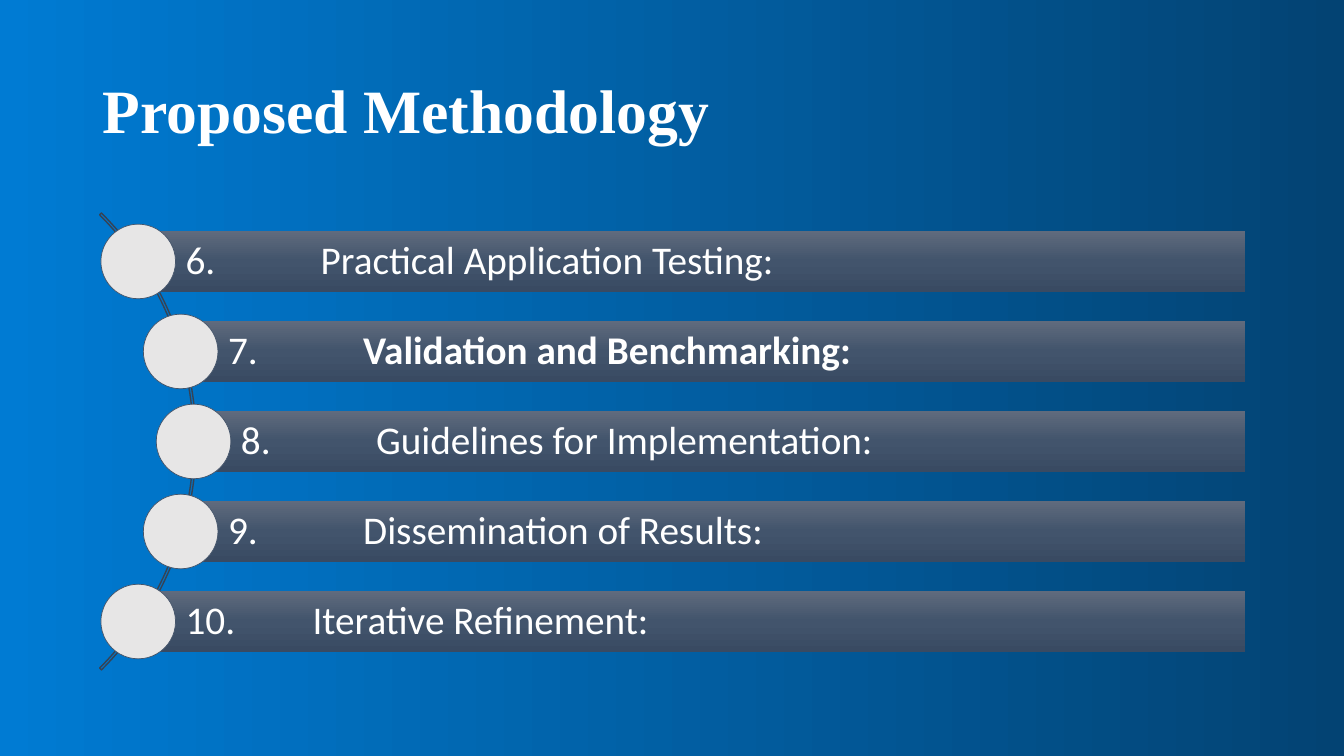
from dataclasses import dataclass
from math import sqrt

from lxml.etree import SubElement
from pptx import Presentation
from pptx.dml.color import RGBColor
from pptx.dml.fill import FillFormat
from pptx.enum.shapes import MSO_SHAPE
from pptx.enum.text import MSO_ANCHOR, MSO_AUTO_SIZE, PP_ALIGN
from pptx.oxml.ns import qn
from pptx.slide import Slide
from pptx.text.text import TextFrame
from pptx.util import Inches, Pt


@dataclass(frozen=True)
class Theme:
    background: tuple[str, ...] = ("007BD3", "034373")
    bar: tuple[str, ...] = ("606B7D", "42546C", "394A62")
    text: str = "FFFFFF"
    circle: str = "E7E6E6"
    circle_line: str = "44546A"
    arc_line: str = "364355"
    title_font: str = "Times New Roman"
    body_font: str = "Calibri"
    title_size: int = 44
    body_size: int = 28


@dataclass(frozen=True)
class Step:
    number: str
    label: str
    bold: bool = False
    tab: float = 1.34


THEME = Theme()
STEPS = [
    Step("6.", "Practical Application Testing:"),
    Step("7.", "Validation and Benchmarking:", bold=True),
    Step("8.", "Guidelines for Implementation:"),
    Step("9.", "Dissemination of Results:"),
    Step("10.", "Iterative Refinement:", tab=1.26),
]
ARC_X, ARC_Y, ARC_RADIUS = -1.26, 4.38, 3.18
ARC_SIZE = 6.41
ROW_PITCH = 0.893
BAR_RIGHT, BAR_HEIGHT = 12.35, 0.6
CIRCLE_SIZE = 0.74


def paint_gradient(fill: FillFormat, element, colors: tuple[str, ...], angle: float) -> None:
    fill.gradient()
    fill.gradient_angle = angle
    stops = next(element.iter(qn("a:gsLst")))
    stops.clear()
    for index, color in enumerate(colors):
        position = round(100000 * index / (len(colors) - 1))
        stop = SubElement(stops, qn("a:gs"), pos=str(position))
        SubElement(stop, qn("a:srgbClr"), val=color)


def add_text(frame: TextFrame, text: str, font: str, size: int, bold: bool) -> None:
    run = frame.paragraphs[0].add_run()
    run.text = text
    run.font.name = font
    run.font.size = Pt(size)
    run.font.bold = bold
    run.font.color.rgb = RGBColor.from_string(THEME.text)


def add_title(slide: Slide, text: str) -> None:
    title = slide.shapes.title
    title.left, title.top = Inches(0.92), Inches(0.4)
    title.width, title.height = Inches(11.5), Inches(1.45)
    frame = title.text_frame
    frame.auto_size = MSO_AUTO_SIZE.NONE
    frame.vertical_anchor = MSO_ANCHOR.MIDDLE
    frame.paragraphs[0].alignment = PP_ALIGN.LEFT
    frame.paragraphs[0].line_spacing = 0.9
    add_text(frame, text, THEME.title_font, THEME.title_size, True)


def add_shape(slide: Slide, kind: MSO_SHAPE, left: float, top: float, width: float, height: float):
    shape = slide.shapes.add_shape(kind, Inches(left), Inches(top), Inches(width), Inches(height))
    shape.shadow.inherit = False
    return shape


def add_arc(slide: Slide) -> None:
    arc = add_shape(slide, MSO_SHAPE.BLOCK_ARC, ARC_X - ARC_SIZE / 2, ARC_Y - ARC_SIZE / 2,
                    ARC_SIZE, ARC_SIZE)
    for index, value in enumerate((189, 27, 0.004)):
        arc.adjustments[index] = value
    arc.fill.background()
    arc.line.color.rgb = RGBColor.from_string(THEME.arc_line)
    arc.line.width = Pt(1)


def add_step(slide: Slide, step: Step, offset: float) -> None:
    center_x = ARC_X + sqrt(ARC_RADIUS**2 - offset**2)
    center_y = ARC_Y + offset

    bar = add_shape(slide, MSO_SHAPE.RECTANGLE, center_x, center_y - BAR_HEIGHT / 2,
                    BAR_RIGHT - center_x, BAR_HEIGHT)
    paint_gradient(bar.fill, bar.element, THEME.bar, 270)
    bar.line.fill.background()
    frame = bar.text_frame
    frame.word_wrap = True
    frame.vertical_anchor = MSO_ANCHOR.MIDDLE
    frame.margin_left = Inches(0.47)
    frame.margin_top = frame.margin_right = frame.margin_bottom = Inches(0.08)
    paragraph = frame.paragraphs[0]
    paragraph.alignment = PP_ALIGN.LEFT
    paragraph.line_spacing = 0.9
    tabs = SubElement(paragraph._p.get_or_add_pPr(), qn("a:tabLst"))
    SubElement(tabs, qn("a:tab"), pos=str(Inches(step.tab)), algn="l")
    add_text(frame, f"{step.number}\t", THEME.body_font, THEME.body_size, False)
    add_text(frame, step.label, THEME.body_font, THEME.body_size, step.bold)

    circle = add_shape(slide, MSO_SHAPE.OVAL, center_x - CIRCLE_SIZE / 2,
                       center_y - CIRCLE_SIZE / 2, CIRCLE_SIZE, CIRCLE_SIZE)
    circle.fill.solid()
    circle.fill.fore_color.rgb = RGBColor.from_string(THEME.circle)
    circle.line.color.rgb = RGBColor.from_string(THEME.circle_line)
    circle.line.width = Pt(0.5)


def main() -> None:
    presentation = Presentation()
    presentation.slide_width, presentation.slide_height = Inches(13.33), Inches(7.5)
    slide = presentation.slides.add_slide(presentation.slide_layouts[5])
    paint_gradient(slide.background.fill, slide.element, THEME.background, 0)
    add_title(slide, "Proposed Methodology")
    add_arc(slide)
    for index, step in enumerate(STEPS):
        add_step(slide, step, (index - (len(STEPS) - 1) / 2) * ROW_PITCH)
    presentation.save("out.pptx")


if __name__ == "__main__":
    main()
